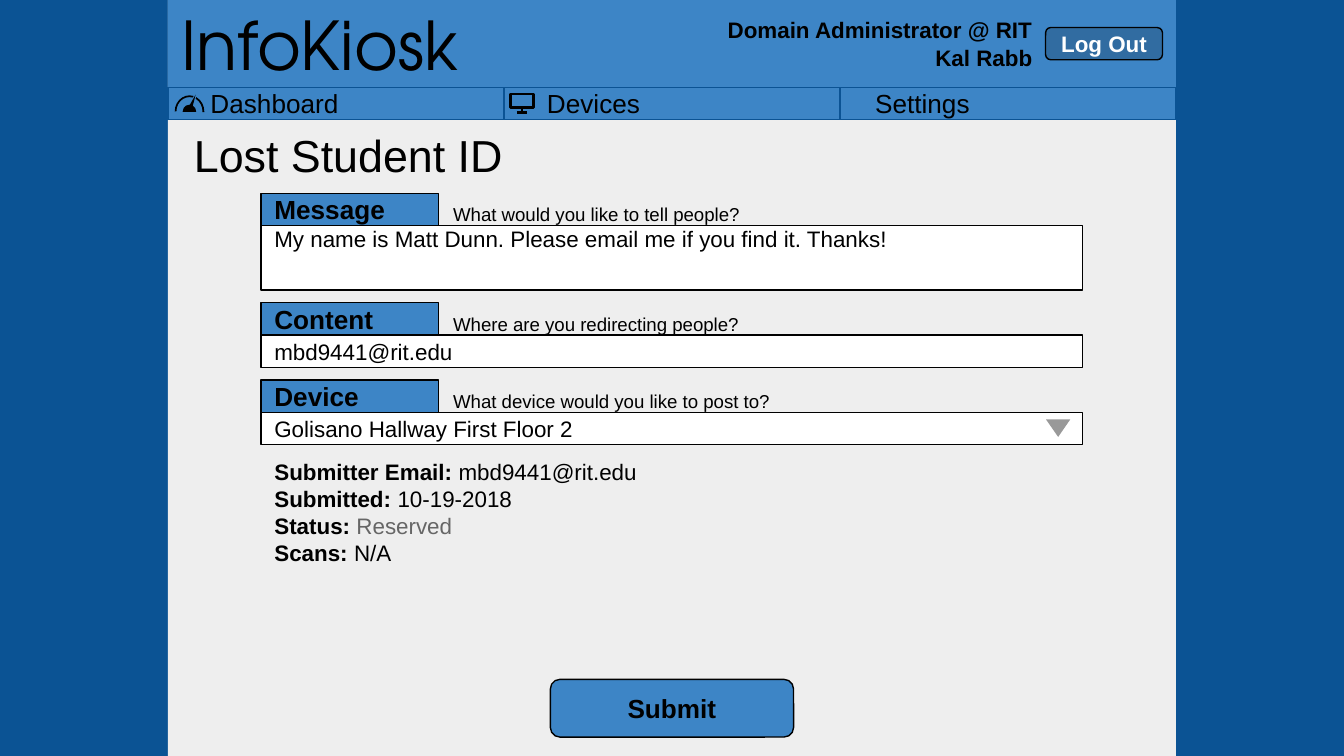
from collections import namedtuple
from lxml.etree import SubElement
from pptx import Presentation
from pptx.dml.color import RGBColor
from pptx.enum.shapes import MSO_CONNECTOR as Link, MSO_SHAPE as Kind
from pptx.enum.text import MSO_ANCHOR as Anchor, PP_ALIGN as Align
from pptx.oxml.ns import qn
from pptx.util import Inches, Pt

NAVY = RGBColor(0x0B, 0x53, 0x94)
BLUE = RGBColor(0x3D, 0x85, 0xC6)
STEEL = RGBColor(0x31, 0x6C, 0xA1)
PALE = RGBColor(0xEE, 0xEE, 0xEE)
WHITE = RGBColor(0xFF, 0xFF, 0xFF)
BLACK = RGBColor(0, 0, 0)
GREY = RGBColor(0x99, 0x99, 0x99)
DIM = RGBColor(0x66, 0x66, 0x66)

COLS, ROWS = 100, 56.25  # grid of the slide
CELL = Inches(10) / COLS
BAR = 2.4                # rows in a tab, label or one-line field
GAP = 0.95               # rows between fields

Box = namedtuple("Box", "x y w h")


def within(box, x, y, w, h):
    """Box whose place is counted from the corner of another."""
    return Box(box.x + x, box.y + y, w, h)


def emu(*cells):
    return [round(n * CELL) for n in cells]


def write(shape, lines, align=Align.LEFT, anchor=Anchor.MIDDLE, inset=1, top=0, **look):
    """Fill a shape with lines, each a list of (text, format) runs."""
    frame = shape.text_frame
    left, head = emu(inset, top)
    form = dict(word_wrap=True, vertical_anchor=anchor, margin_left=left,
                margin_right=emu(1)[0], margin_top=head, margin_bottom=head)
    for key, val in form.items():
        setattr(frame, key, val)
    for i, line in enumerate(lines):
        para = frame.paragraphs[0] if i == 0 else frame.add_paragraph()
        para.alignment = align
        for text, extra in line:
            run = para.add_run()
            run.text = text
            font = {"name": "Arial", "size": 12, "bold": False, "color": BLACK, **look, **extra}
            run.font.color.rgb = font.pop("color")
            font["size"] = Pt(font["size"])
            for key, val in font.items():
                setattr(run.font, key, val)


def draw(shapes, box, kind=Kind.RECTANGLE, fill=None, line=None, width=0.75, turn=0, adj=()):
    shape = shapes.add_shape(kind, *emu(*box))
    shape.shadow.inherit = False
    shape.rotation = turn
    for i, val in enumerate(adj):
        shape.adjustments[i] = val
    for part, color in ((shape.fill, fill), (shape.line.fill, line)):
        if color is None:
            part.background()
        else:
            part.solid()
            part.fore_color.rgb = color
    if line is not None:
        shape.line.width = Pt(width)
    return shape


def note(shapes, box, lines, **look):
    write(shapes.add_textbox(*emu(*box)), lines, **look)


def stroke(shapes, x1, y1, x2, y2):
    line = shapes.add_connector(Link.STRAIGHT, *emu(x1, y1, x2, y2))
    line.line.color.rgb = BLACK
    line.line.width = Pt(1.5)
    SubElement(line._element.spPr, qn("a:effectLst"))


def button(shapes, box, text, fill, **look):
    shape = draw(shapes, box, Kind.ROUNDED_RECTANGLE, fill, BLACK, adj=[0.167])
    write(shape, [[(text, {})]], Align.CENTER, bold=True, **look)


def header(shapes, box):
    write(draw(shapes, box, fill=BLUE), [[("InfoKiosk", {})]],
          name="TeX Gyre Adventor", size=36)
    for i, text in enumerate(("Domain Administrator @ RIT", "Kal Rabb")):
        note(shapes, within(box, 38.9, 1.2 + 2.1 * i, 26.4, 2.1), [[(text, {})]],
             align=Align.RIGHT, anchor=Anchor.TOP, bold=True)
    button(shapes, within(box, 65.3, 2.05, 8.7, BAR), "Log Out", STEEL, color=WHITE)


def gauge(shapes, box):
    group = shapes.add_group_shape().shapes
    draw(group, within(box, 0.5, 0.6, 2.2, 2.4), Kind.BLOCK_ARC, BLACK, adj=[108, 1.716, 0.059])
    for x, y, color in ((1.9, 0, BLUE), (1.7, 0.5, BLACK)):
        draw(group, within(box, x, y, 0.3, 1.1), Kind.ISOSCELES_TRIANGLE, color, turn=22)
    draw(group, within(box, 1.1, 1.3, 1, 1), Kind.CHORD, BLACK, adj=[105.608, 2.566])
    draw(shapes, box, line=NAVY)


def screen(shapes, box):
    group = shapes.add_group_shape().shapes
    view = within(box, 0.5, 0.5, 1.7, 1)
    draw(group, view, line=BLACK, width=1.5)
    mid, low = view.x + view.w / 2, view.y + view.h
    stroke(group, mid, low, mid, low + 0.3)
    stroke(group, mid - 0.4, low + 0.35, mid + 0.4, low + 0.35)


def menu(shapes, box):
    wide = box.w / 3
    tabs = (("Dashboard", 3.16, gauge), ("Devices", 3.2, screen), ("Settings", 2.62, None))
    for i, (text, inset, icon) in enumerate(tabs):
        tab = within(box, wide * i, 0, wide, box.h)
        write(draw(shapes, tab, fill=BLUE, line=NAVY), [[(text, {})]], inset=inset, size=14)
        if icon:
            icon(shapes, tab)


def field(shapes, box, label, hint, value, anchor):
    """Label and hint in the first row of the box, the value below."""
    tag = within(box, 0, 0, 13.2, BAR)
    write(draw(shapes, tag, fill=BLUE, line=BLACK), [[(label, {})]], size=14, bold=True)
    note(shapes, within(box, 13.3, 0, 47.8, BAR), [[(hint, {})]], anchor=Anchor.BOTTOM, size=10)
    area = within(box, 0, BAR, box.w, box.h - BAR)
    write(draw(shapes, area, fill=WHITE, line=BLACK), [[(value, {})]], anchor=anchor)


def form(shapes, box):
    fields = (
        ("Message", "What would you like to tell people?",
         "My name is Matt Dunn. Please email me if you find it. Thanks!", 2, Anchor.TOP),
        ("Content", "Where are you redirecting people?", "mbd9441@rit.edu", 1, Anchor.MIDDLE),
        ("Device", "What device would you like to post to?",
         "Golisano Hallway First Floor 2", 1, Anchor.MIDDLE),
    )
    y = 0
    for label, hint, value, lines, anchor in fields:
        high = BAR * (1 + lines)
        field(shapes, within(box, 0, y, box.w, high), label, hint, value, anchor)
        y += high + GAP
    end = y - GAP
    draw(shapes, within(box, 58.4, end - 1.87, 1.8, 1.3), Kind.ISOSCELES_TRIANGLE, GREY, turn=180)
    facts = (("Submitter Email: ", "mbd9441@rit.edu", BLACK), ("Submitted: ", "10-19-2018", BLACK),
             ("Status: ", "Reserved", DIM), ("Scans: ", "N/A", BLACK))
    note(shapes, within(box, 0, end, box.w, 16.9),
         [[(name, {"bold": True}), (value, {"color": color})] for name, value, color in facts],
         anchor=Anchor.TOP, top=1)


def heading(shapes, box, text):
    title = shapes.title
    title._element.getparent().append(title._element)
    title.left, title.top, title.width, title.height = emu(*box)
    write(title, [[(text, {})]], inset=1.93, size=24)


def main():
    deck = Presentation()
    deck.slide_width, deck.slide_height = emu(COLS, ROWS)
    slide = deck.slides.add_slide(deck.slide_layouts[5])
    slide.background.fill.solid()
    slide.background.fill.fore_color.rgb = NAVY
    shapes = slide.shapes
    page = Box(12.5, 0, 75, ROWS)
    draw(shapes, page, fill=PALE)
    header(shapes, within(page, 0, 0, page.w, 6.5))
    menu(shapes, within(page, 0, 6.5, page.w, BAR))
    heading(shapes, within(page, 0, 8.9, 57.6, 5.2), "Lost Student ID")
    form(shapes, within(page, 6.93, 14.38, 61.1, 35.6))
    button(shapes, within(page, 28.45, 50.55, 18.1, 4.3), "Submit", BLUE, size=14)
    deck.save("out.pptx")


if __name__ == "__main__":
    main()
